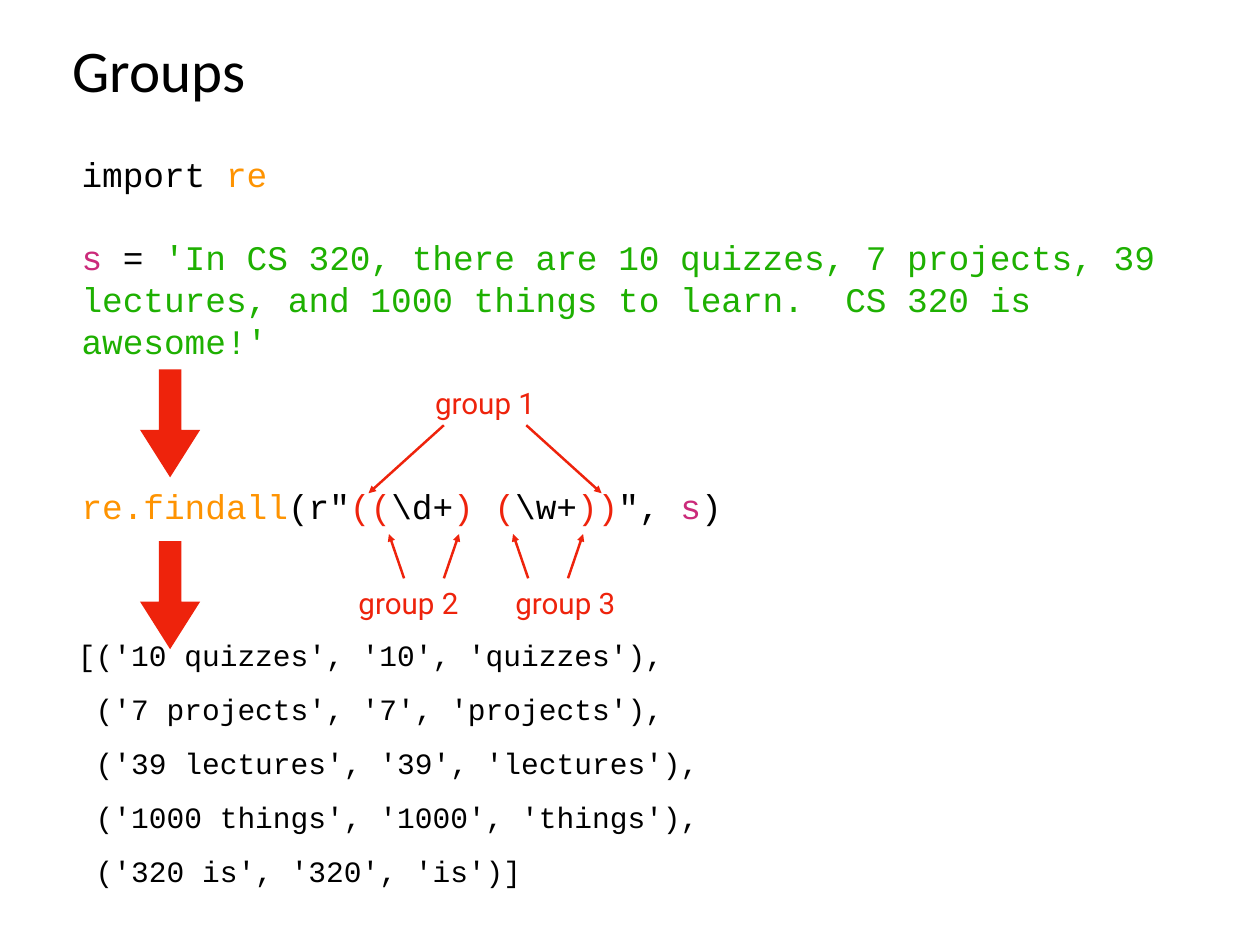
from dataclasses import dataclass

from lxml.etree import SubElement
from pptx import Presentation
from pptx.dml.color import RGBColor
from pptx.enum.shapes import MSO_CONNECTOR as Connector, MSO_SHAPE as Shape
from pptx.enum.text import MSO_ANCHOR as Anchor, MSO_AUTO_SIZE as AutoSize, PP_ALIGN as Align
from pptx.oxml.ns import qn
from pptx.util import Inches, Pt


@dataclass(frozen=True)
class Theme:
    black: str = "000000"
    red: str = "EE230C"
    orange: str = "FE9301"
    green: str = "1EB001"
    magenta: str = "CB2A7A"
    title_font: str = "Calibri"
    code_font: str = "Courier New"
    label_font: str = "Roboto"
    title_size: float = 48
    code_size: float = 28
    small_size: float = 24
    code_line: float = 33.8
    output_line: float = 44
    arrow_line: float = 2


@dataclass(frozen=True)
class Box:
    """An area measured in columns and rows of the slide grid."""
    left: float
    top: float
    width: float
    height: float

    @property
    def center(self):
        return self.left + self.width / 2

    @property
    def bottom(self):
        return self.top + self.height


THEME = Theme()
WIDTH, HEIGHT = Inches(14.22), Inches(10.67)
COLUMNS = ROWS = 100
LABEL_WIDTH, LABEL_HEIGHT = 8.72, 4.69


def column(count):
    return round(WIDTH * count / COLUMNS)


def row(count):
    return round(HEIGHT * count / ROWS)


def place(box):
    return column(box.left), row(box.top), column(box.width), row(box.height)


def write(shape, paragraphs, *, font, size, align=Align.LEFT, anchor=Anchor.TOP,
          wrap=True, line=None, gap=0):
    """Fill a shape with paragraphs, each a list of (text, colour) runs."""
    frame = shape.text_frame
    frame.word_wrap = wrap
    frame.auto_size = AutoSize.NONE
    frame.vertical_anchor = anchor
    frame.margin_left = frame.margin_right = Inches(0.06)
    frame.margin_top = frame.margin_bottom = Inches(0.06)
    for index, runs in enumerate(paragraphs):
        paragraph = frame.add_paragraph() if index else frame.paragraphs[0]
        paragraph.alignment = align
        if line:
            paragraph.line_spacing = Pt(line)
        if index and gap:
            paragraph.space_before = Pt(gap)
        for text, color in runs:
            run = paragraph.add_run()
            run.text = text
            run.font.name = font
            run.font.size = Pt(size)
            run.font.color.rgb = RGBColor.from_string(color)


def add_text(slide, box, paragraphs, **text_format):
    write(slide.shapes.add_textbox(*place(box)), paragraphs, **text_format)


def add_pointer(slide, start, tip):
    """Draw a thin red arrow between two grid points."""
    line = slide.shapes.add_connector(
        Connector.STRAIGHT, column(start[0]), row(start[1]), column(tip[0]), row(tip[1]))
    line.line.color.rgb = RGBColor.from_string(THEME.red)
    line.line.width = Pt(THEME.arrow_line)
    SubElement(line.line._get_or_add_ln(), qn("a:tailEnd"), type="triangle")
    SubElement(line._element.spPr, qn("a:effectLst"))


def add_title(slide, box):
    title = slide.shapes.title
    title.left, title.top, title.width, title.height = place(box)
    write(title, [[("Groups", THEME.black)]], font=THEME.title_font,
          size=THEME.title_size, anchor=Anchor.MIDDLE)


def add_setup_code(slide, box):
    text = ("'In CS 320, there are 10 quizzes, 7 projects, 39 lectures, "
            "and 1000 things to learn.  CS 320 is awesome!'")
    add_text(slide, box, [
        [("import ", THEME.black), ("re", THEME.orange)],
        [("s", THEME.magenta), (" = ", THEME.black), (text, THEME.green)],
    ], font=THEME.code_font, size=THEME.code_size, line=THEME.code_line, gap=THEME.code_line)


def add_findall_code(slide, box):
    add_text(slide, box, [[
        ("re.findall", THEME.orange), ('(r"', THEME.black), ("((", THEME.red),
        (r"\d+", THEME.black), (") (", THEME.red), (r"\w+", THEME.black),
        ("))", THEME.red), ('", ', THEME.black), ("s", THEME.magenta), (")", THEME.black),
    ]], font=THEME.code_font, size=THEME.code_size, line=THEME.code_line)


def add_output(slide, box):
    lines = (
        "[('10 quizzes', '10', 'quizzes'),",
        " ('7 projects', '7', 'projects'),",
        " ('39 lectures', '39', 'lectures'),",
        " ('1000 things', '1000', 'things'),",
        " ('320 is', '320', 'is')]",
    )
    add_text(slide, box, [[(line, THEME.black)] for line in lines], font=THEME.code_font,
             size=THEME.small_size, anchor=Anchor.MIDDLE, wrap=False, line=THEME.output_line)


def add_step_arrow(slide, box):
    """Draw a thick arrow, turned to point down."""
    arrow = slide.shapes.add_shape(Shape.RIGHT_ARROW, *place(box))
    arrow.rotation = 90
    arrow.adjustments[0], arrow.adjustments[1] = 0.37, 0.79
    arrow.fill.solid()
    arrow.fill.fore_color.rgb = RGBColor.from_string(THEME.red)
    arrow.line.fill.background()
    arrow.shadow.inherit = False


def add_group(slide, box, name, label_center, label_top, near, start_row, tip_row):
    """Label a group; two pointers spread to the edges of the box."""
    label = Box(label_center - LABEL_WIDTH / 2, label_top, LABEL_WIDTH, LABEL_HEIGHT)
    add_text(slide, label, [[(name, THEME.red)]], font=THEME.label_font,
             size=THEME.small_size, align=Align.CENTER, anchor=Anchor.MIDDLE, wrap=False)
    for side in (-1, 1):
        add_pointer(slide, (box.center + side * near, start_row),
                    (box.center + side * box.width / 2, tip_row))


def add_group_above(slide, box, name):
    add_group(slide, box, name, box.center, box.top - LABEL_HEIGHT, 3.27, box.top, box.bottom)


def add_group_below(slide, box, name, label_shift):
    add_group(slide, box, name, box.center + label_shift, box.bottom + 0.19, 1.58,
              box.bottom, box.top)


def main():
    presentation = Presentation()
    presentation.slide_width, presentation.slide_height = WIDTH, HEIGHT
    slide = presentation.slides.add_slide(presentation.slide_layouts[5])

    # Title and code
    add_title(slide, Box(5.34, 2.62, 89.03, 9.28))
    add_setup_code(slide, Box(6.05, 15.65, 86.64, 23.15))
    add_findall_code(slide, Box(6.05, 50.8, 53.52, 5.44))

    # Steps from text to call to result
    for top in (41.61, 59.79):
        add_step_arrow(slide, Box(9.21, top, 8.58, 6.37))
    add_output(slide, Box(5.77, 69.73, 50.14, 19.96))

    # Group labels with their pointers
    add_group_above(slide, Box(29.25, 45, 18.5, 7.2), "group 1")
    for name, left, label_shift in (("group 2", 30.87, -1.23), ("group 3", 40.72, 1.37)):
        add_group_below(slide, Box(left, 56.51, 5.56, 4.69), name, label_shift)

    presentation.save("out.pptx")


if __name__ == "__main__":
    main()
